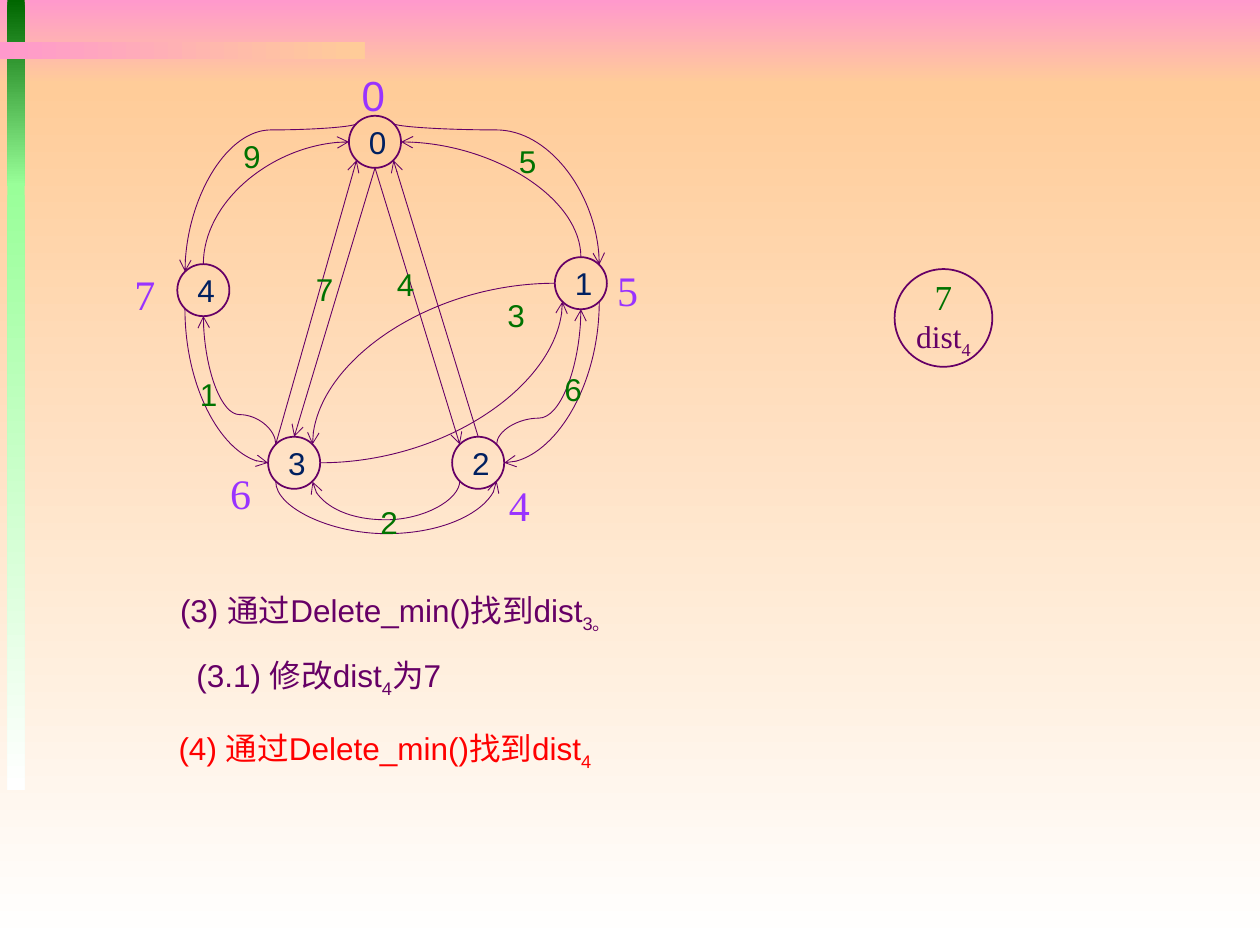
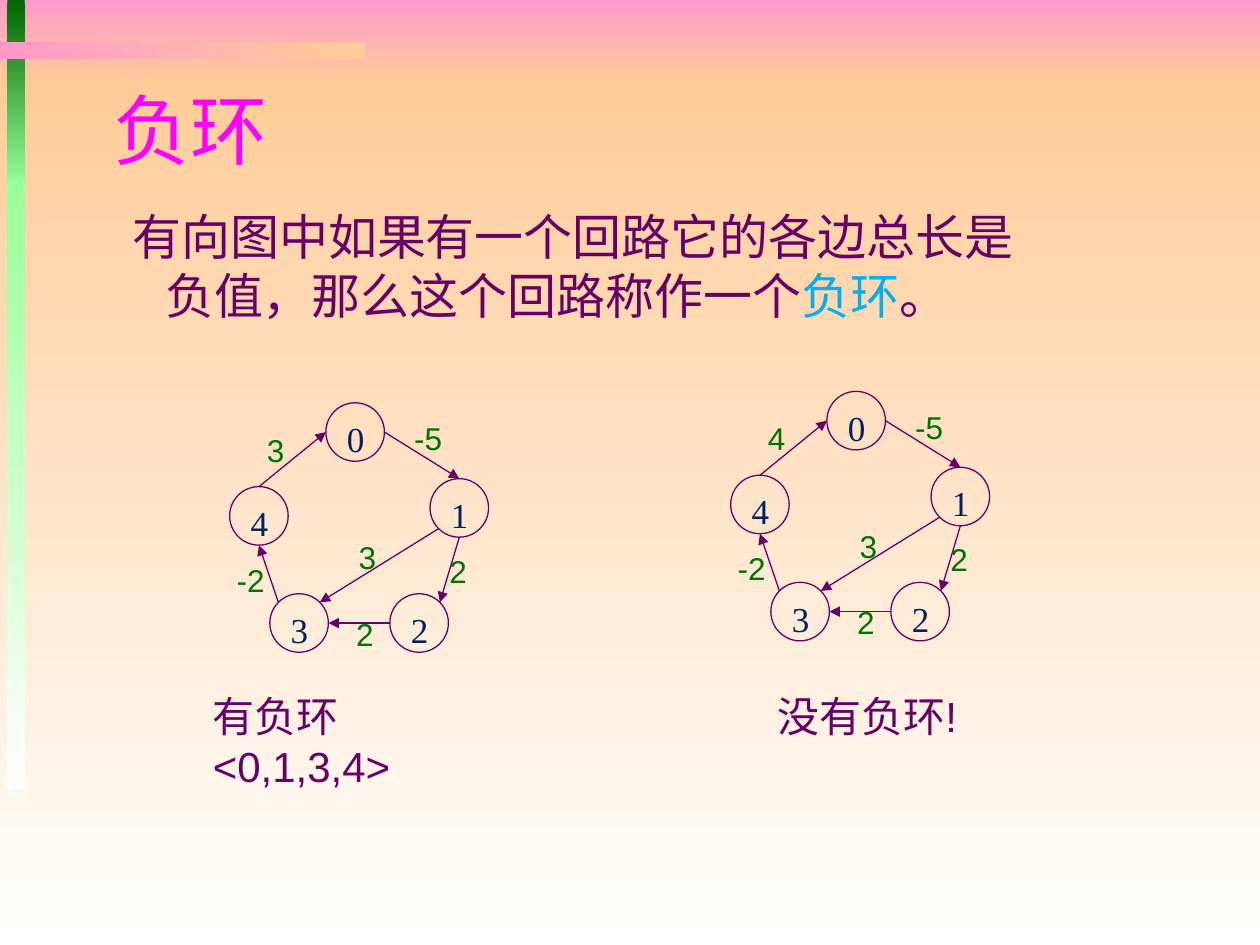
from dataclasses import dataclass

import pptx
import pptx.dml.color
import pptx.enum.shapes
import pptx.enum.text
import pptx.oxml
import pptx.oxml.ns
import pptx.util

Cm = pptx.util.Cm
Pt = pptx.util.Pt
SHAPE = pptx.enum.shapes.MSO_SHAPE
LINK = pptx.enum.shapes.MSO_CONNECTOR
ANCHOR = pptx.enum.text.MSO_ANCHOR
ALIGN = pptx.enum.text.PP_ALIGN
qn = pptx.oxml.ns.qn


@dataclass(frozen=True)
class Theme:
    plum: str = "660066"
    navy: str = "002060"
    green: str = "007200"
    violet: str = "9933FF"
    red: str = "FF0000"
    cyan: str = "00B0F0"
    fuchsia: str = "FF00FF"
    pink: str = "FF99CC"
    peach: str = "FFCC99"
    white: str = "FFFFFF"
    forest: str = "006600"
    mint: str = "99FF99"
    sans: str = "Arial"
    serif: str = "Times New Roman"
    head: str = "Roboto Condensed"
    small: float = 18
    node: float = 20
    large: float = 24
    body: float = 28
    title: float = 44


T = Theme()
DIAG = 0.5 ** 0.5
SIDES = {
    "N": (0, -1), "E": (1, 0), "S": (0, 1), "W": (-1, 0),
    "NE": (DIAG, -DIAG), "SE": (DIAG, DIAG),
    "SW": (-DIAG, DIAG), "NW": (-DIAG, -DIAG),
}


def rgb(code):
    return pptx.dml.color.RGBColor.from_string(code)


def write(para, words, size, color, font=T.sans, sub=False):
    run = para.add_run()
    run.text = words
    run.font.size = Pt(size)
    run.font.name = font
    run.font.color.rgb = rgb(color)
    if sub:
        run.font._element.set("baseline", "-25000")


def text_box(shapes, x, y, w, h, wrap=True):
    """Add a text box and return its first paragraph."""
    box = shapes.add_textbox(Cm(x), Cm(y), Cm(w), Cm(h))
    box.text_frame.word_wrap = wrap
    return box.text_frame.paragraphs[0]


def label(shapes, words, x, y, w=0.86, h=1.02, size=T.small,
          color=T.green, font=T.sans, wrap=False):
    write(text_box(shapes, x, y, w, h, wrap), words, size, color, font)


def circle(shapes, center, size, width):
    x, y = center
    ring = shapes.add_shape(SHAPE.OVAL, Cm(x - size / 2), Cm(y - size / 2),
                            Cm(size), Cm(size))
    ring.shadow.inherit = False
    ring.fill.background()
    ring.line.color.rgb = rgb(T.plum)
    ring.line.width = Pt(width)
    return ring.text_frame


def band(shapes, x, y, w, h, start, end, angle=270):
    bar = shapes.add_shape(SHAPE.RECTANGLE, Cm(x), Cm(y), Cm(w), Cm(h))
    bar.shadow.inherit = False
    bar.line.fill.background()
    bar.fill.gradient()
    bar.fill.gradient_angle = angle
    for stop, color in zip(bar.fill.gradient_stops, (start, end)):
        stop.color.rgb = rgb(color)
    return bar


def backdrop(slide, layout):
    """Draw the shared bands and move them to the layout."""
    for spec in (
        (0, 0, 25.4, 1.7, T.pink, T.peach),
        (0, 1.7, 25.4, 17.35, T.peach, T.white),
        (0.15, 0, 0.35, 3.75, T.forest, T.mint),
        (0.15, 3.7, 0.35, 12.22, T.mint, T.white),
        (0, 0.85, 7.35, 0.35, T.pink, T.peach, 0),
    ):
        layout.shapes.element.append(band(slide.shapes, *spec).element)


def link(shapes, kind, start, end, width, mark, head="arrow"):
    """Add a connector; mark is headEnd or tailEnd, where the arrow sits."""
    line = shapes.add_connector(kind, *(Cm(v) for v in (*start, *end)))
    line.line.color.rgb = rgb(T.plum)
    line.line.width = Pt(width)
    props = line.element.spPr
    stroke = props.find(qn("a:ln"))
    stroke.append(stroke.makeelement(qn(f"a:{mark}"), {"type": head}))
    props.append(props.makeelement(qn("a:effectLst"), {}))
    return line


def corner(shapes, start, end, width, mark):
    """Curve that leaves start sideways and meets end upright."""
    line = link(shapes, LINK.CURVE, start, end, width, mark)
    line.element.spPr.find(qn("a:prstGeom")).set("prst", "curvedConnector2")


def hook(shapes, start, end, level, width, mark):
    """Curve from right to left, upright at both ends, turning at level."""
    (x1, y1), (x2, y2) = start, end
    drop = y2 - y1 or 0.02
    wide, high = abs(drop) / 2, abs(x2 - x1) / 2
    mx, my = (x1 + x2) / 2, (y1 + y2) / 2
    turn = 1 if drop > 0 else -1
    line = link(shapes, LINK.CURVE, (mx - wide, my - turn * high),
                (mx + wide, my + turn * high), width, mark)
    props = line.element.spPr
    props.find(qn("a:xfrm")).set("rot", str(turn * 90 % 360 * 60000))
    guides = props.find(qn("a:prstGeom")).get_or_add_avLst()
    bend = round((level - y1) / drop * 100000)
    guides.append(guides.makeelement(
        qn("a:gd"), {"name": "adj1", "fmla": f"val {bend}"}))


def port(nodes, size, spot):
    """Point on a node's rim; spot is the node's name and a side, as 0NW."""
    (x, y), (dx, dy) = nodes[spot[0]], SIDES[spot[1:]]
    return x + dx * size / 2, y + dy * size / 2


def step(shapes, x, y, w, color, parts):
    para = text_box(shapes, x, y, w, 1.02)
    for words, sub in parts:
        write(para, words, T.small, color, sub=sub)


def heap_slide(slide):
    shapes = slide.shapes
    size, thin = 1.05, 0.5
    nodes = {"0": (7.56, 2.86), "4": (4.1, 5.85), "3": (5.93, 9.33),
             "2": (9.64, 9.33), "1": (11.71, 5.71)}
    for name, center in nodes.items():
        frame = circle(shapes, center, size, 1)
        frame.vertical_anchor = ANCHOR.MIDDLE
        frame.paragraphs[0].alignment = ALIGN.CENTER
        write(frame.paragraphs[0], name, T.small, T.navy)

    def ends(*spots):
        return [port(nodes, size, spot) for spot in spots]

    for start, end, level, mark in (
        ("0NW", "4NW", 2.62, "tailEnd"), ("1NE", "0NE", 2.62, "headEnd"),
        ("2SE", "3SW", 10.77, "headEnd"), ("2SW", "3SE", 10.49, "tailEnd"),
        ("3NW", "4S", 8.36, "tailEnd"), ("1S", "2NE", 8.43, "headEnd"),
    ):
        hook(shapes, *ends(start, end), level, thin, mark)
    for start, end, mark in (
        ("3W", "4SW", "headEnd"), ("2E", "1SE", "headEnd"),
        ("1W", "3NE", "tailEnd"), ("3E", "1SW", "tailEnd"),
        ("0W", "4N", "headEnd"), ("0E", "1N", "headEnd"),
    ):
        corner(shapes, *ends(start, end), thin, mark)
    for start, end in (("0S", "2NW"), ("0S", "3N"),
                       ("3NW", "0SW"), ("2N", "0SE")):
        link(shapes, LINK.STRAIGHT, *ends(start, end), thin, "tailEnd")

    for words, x, y in (
        ("9", 4.65, 2.64), ("5", 10.21, 2.74), ("4", 7.75, 5.21),
        ("7", 6.12, 5.31), ("1", 3.78, 7.44), ("2", 7.42, 10.01),
        ("3", 9.98, 5.84), ("6", 11.13, 7.34),
    ):
        label(shapes, words, x, y)
    for words, x, y, font in (
        ("0", 7.04, 1.27, T.sans), ("5", 12.19, 5.21, T.serif),
        ("4", 10.01, 9.55, T.serif), ("6", 4.39, 9.3, T.serif),
        ("7", 2.46, 5.28, T.serif),
    ):
        label(shapes, words, x, y, 0.94, 1.27, T.large, T.violet, font)

    frame = circle(shapes, (19.02, 6.41), 1.97, 1)
    frame.margin_left = frame.margin_right = 0
    frame.margin_top = frame.margin_bottom = 0
    frame.vertical_anchor = ANCHOR.MIDDLE
    para = frame.paragraphs[0]
    para.alignment = ALIGN.CENTER
    write(para, "7", T.node, T.green, T.serif)
    para.add_line_break()
    write(para, "dist", T.small, T.plum, T.serif)
    write(para, "4", T.small, T.plum, T.serif, sub=True)

    step(shapes, 3.38, 11.79, 10.11, T.plum,
         (("(3) 通过Delete_min()找到dist", False), ("3。", True)))
    step(shapes, 3.71, 13.11, 7.34, T.plum,
         (("(3.1) 修改dist", False), ("4", True), ("为7", False)))
    step(shapes, 3.35, 14.58, 10.13, T.red,
         (("(4) 通过Delete_min()找到dist", False), ("4", True)))


def ring_graph(slide, dx, dy, back):
    """Five-node graph moved by dx, dy; back is the weight from 4 to 0."""
    shapes = slide.shapes.add_group_shape().shapes
    size = 1.18
    spots = {"0": (7.16, 8.71), "4": (5.22, 10.4), "2": (8.45, 12.56),
             "3": (6.03, 12.56), "1": (9.26, 10.24)}
    nodes = {name: (x + dx, y + dy) for name, (x, y) in spots.items()}
    for name, center in nodes.items():
        frame = circle(shapes, center, size, 0.75)
        frame.vertical_anchor = ANCHOR.TOP
        frame.paragraphs[0].alignment = ALIGN.LEFT
        write(frame.paragraphs[0], name, T.node, T.navy, T.serif)
    for start, end, words, x, y in (
        ("4N", "0W", back, 5.13, 8.56), ("0E", "1N", "-5", 8.1, 8.33),
        ("1SW", "3NE", "3", 6.98, 10.72), ("3NW", "4S", "-2", 4.52, 11.18),
        ("1S", "2NE", "2", 8.81, 11), ("2W", "3E", "2", 6.93, 12.27),
    ):
        link(shapes, LINK.STRAIGHT, port(nodes, size, start),
             port(nodes, size, end), 0.75, "tailEnd", "triangle")
        label(shapes, words, x + dx, y + dy, 1.73, wrap=True)


def cycle_slide(slide):
    shapes = slide.shapes
    title = shapes.add_textbox(Cm(2.03), Cm(1.45), Cm(21.59), Cm(2.29))
    title.text_frame.vertical_anchor = ANCHOR.MIDDLE
    write(title.text_frame.paragraphs[0], "负环", T.title, T.fuchsia, T.head)

    para = text_box(shapes, 1.78, 4.04, 23.62, 3.15)
    para.space_before = Pt(5.6)
    props = para._p.get_or_add_pPr()
    props.set("marL", str(Cm(1.3)))
    props.set("indent", str(Cm(-0.66)))
    write(para, "有向图中如果有一个回路它的各边总长是", T.body, T.plum)
    para.add_line_break()
    write(para, "负值，那么这个回路称作一个", T.body, T.plum)
    write(para, "负环", T.body, T.cyan)
    write(para, "。", T.body, T.plum)

    ring_graph(slide, 0, 0, "3")
    ring_graph(slide, 10.1, -0.23, "4")

    para = text_box(shapes, 4.04, 13.79, 6.68, 1.27)
    write(para, "有负环", T.large, T.plum)
    para.add_line_break()
    write(para, "<0,1,3,4>", T.large, T.plum)
    label(shapes, "没有负环!", 15.42, 13.79, 4.17, 1.27, T.large, T.plum)


def main():
    deck = pptx.Presentation()
    deck.slide_width, deck.slide_height = Cm(25.4), Cm(19.05)
    blank = deck.slide_layouts[6]
    heap = deck.slides.add_slide(blank)
    backdrop(heap, blank)
    heap_slide(heap)
    cycle_slide(deck.slides.add_slide(blank))
    deck.save("out.pptx")


if __name__ == "__main__":
    main()
